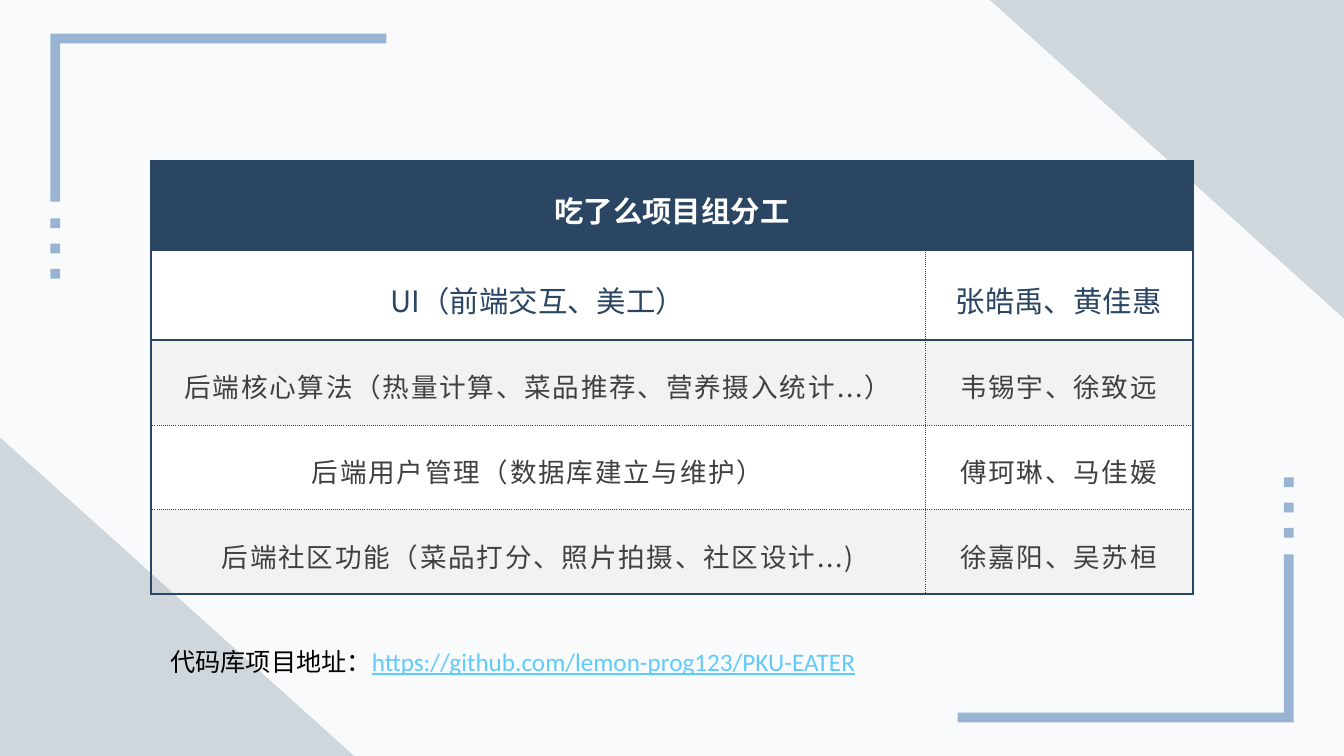
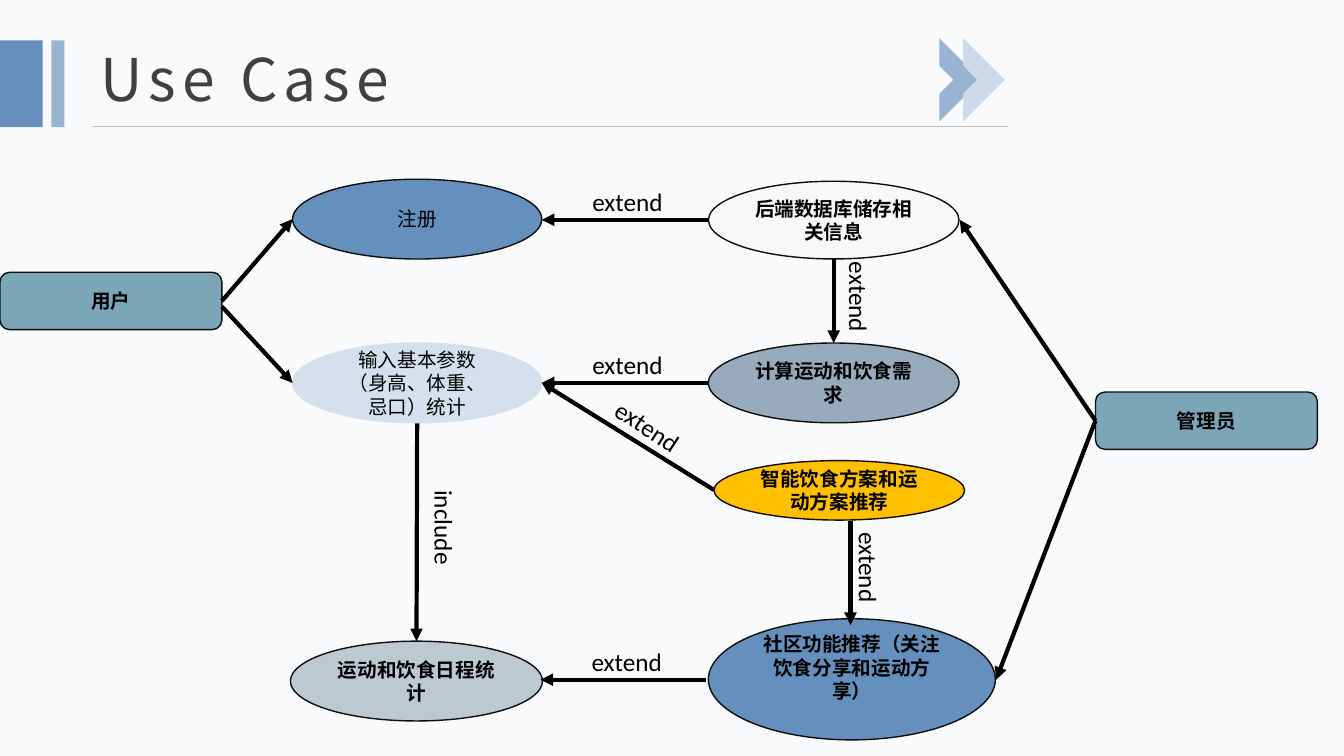
"""Build the team roles slide and the use case slide."""
from lxml import etree
from pptx import Presentation
from pptx.dml.color import RGBColor
from pptx.enum import dml, shapes, text
from pptx.oxml import ns
from pptx.util import Pt

WIDE, HIGH = 960, 540
PAPER = RGBColor(0xF9, 0xFA, 0xFB)
NAVY = RGBColor(0x2B, 0x46, 0x63)
BLUE = RGBColor(0x65, 0x8F, 0xBC)
SOFT = RGBColor(0x98, 0xB4, 0xD2)
PALE = RGBColor(0xCC, 0xDA, 0xE9)
MIST = RGBColor(0xD5, 0xDF, 0xED)
TEAL = RGBColor(0x7A, 0xA6, 0xB8)
STEEL = RGBColor(0x97, 0xAB, 0xBD)
ASH = RGBColor(0xBC, 0xCA, 0xD0)
SNOW = RGBColor(0xF6, 0xF8, 0xFA)
GOLD = RGBColor(0xFF, 0xC0, 0x00)
SKY = RGBColor(0x5F, 0xCB, 0xFB)
WHITE = RGBColor(0xFF, 0xFF, 0xFF)
LIGHT = RGBColor(0xF2, 0xF2, 0xF2)
GREY = RGBColor(0xBF, 0xBF, 0xBF)
DARK = RGBColor(0x40, 0x40, 0x40)
INK = RGBColor(0x0D, 0x0D, 0x0D)
BLACK = RGBColor(0, 0, 0)
LATIN, HAN = "Calibri", "Noto Sans CJK SC"
KIND = shapes.MSO_SHAPE
MID = text.MSO_ANCHOR.MIDDLE
CENTER = text.PP_ALIGN.CENTER

ROLES = [
    ("吃了么项目组分工", ""),
    ("UI（前端交互、美工）", "张皓禹、黄佳惠"),
    ("后端核心算法（热量计算、菜品推荐、营养摄入统计...）", "韦锡宇、徐致远"),
    ("后端用户管理（数据库建立与维护）", "傅珂琳、马佳媛"),
    ("后端社区功能（菜品打分、照片拍摄、社区设计...)", "徐嘉阳、吴苏桓"),
]
ACTORS = [
    ("用户", (0, 194.5, 158.5, 41)),
    ("管理员", (782.5, 280, 158.5, 41)),
]
CASES = [
    ("智能饮食方案和运动方案推荐", (510, 329, 179, 42.5), GOLD),
    ("计算运动和饮食需求", (506, 245, 179, 57), STEEL),
    ("后端数据库储存相关信息", (506, 129.5, 179, 55.5), SNOW),
    ("运动和饮食日程统计", (207.5, 458, 180, 57), ASH),
]
ARROWS = [
    (158.5, 215, 209, 156.5),
    (158.5, 219, 209, 273.5),
    (506, 273.5, 387, 273.5),
    (506, 157, 387, 157),
    (595.5, 185, 595.5, 245),
    (782.5, 300.5, 685.5, 157),
    (510, 350, 387, 273.5),
    (298, 302.5, 297.5, 458),
    (504.5, 485.5, 386, 485.5),
    (607.5, 372, 607.5, 446.5),
    (782.5, 300.5, 711.5, 485.5),
]
LABELS = [
    ("extend", (416, 246, 105, 29), 0),
    ("extend", (416, 129.5, 105, 29), 0),
    ("extend", (561, 218, 105, 29), 90),
    ("extend", (427, 301, 105, 29), 33.1),
    ("include", (279.5, 366.5, 76, 29), 90),
    ("extend", (415.5, 458, 105, 29), 0),
    ("extend", (568, 411, 105, 29), 90),
]


def points(vals):
    return [Pt(v) for v in vals]


def style(run, size, color, face=LATIN, bold=False, gap=0):
    font = run.font
    font.size, font.bold, font.name = Pt(size), bold, face
    font.color.rgb = color
    props = run._r.get_or_add_rPr()
    if gap:
        props.set("spc", str(round(gap * 100)))
    east = etree.Element(ns.qn("a:ea"), typeface=HAN)
    props.find(ns.qn("a:latin")).addnext(east)


def paint(shape, fill, line=None):
    shape.shadow.inherit = False
    shape.fill.solid()
    shape.fill.fore_color.rgb = fill
    if line is None:
        shape.line.fill.background()
    else:
        shape.line.color.rgb = line
        shape.line.width = Pt(1)


def block(slide, kind, box, fill, line=None, turn=0):
    shape = slide.shapes.add_shape(kind, *points(box))
    paint(shape, fill, line)
    shape.rotation = turn
    return shape


def node(slide, kind, words, box, fill, line=INK, bold=True):
    shape = block(slide, kind, box, fill, line)
    frame = shape.text_frame
    frame.text = words
    frame.word_wrap, frame.vertical_anchor = True, MID
    para = frame.paragraphs[0]
    para.alignment = CENTER
    style(para.runs[0], 14, BLACK, bold=bold)
    return shape


def label(slide, words, box, turn=0):
    shape = slide.shapes.add_textbox(*points(box))
    shape.rotation = turn
    frame = shape.text_frame
    frame.word_wrap = True
    frame.text = words
    style(frame.paragraphs[0].runs[0], 18, BLACK)
    return frame


def wire(slide, ends, color, width, head=False):
    line = slide.shapes.add_connector(shapes.MSO_CONNECTOR.STRAIGHT, *points(ends))
    line.line.color.rgb = color
    line.line.width = Pt(width)
    if head:
        edge = line.line._get_or_add_ln()
        etree.SubElement(edge, ns.qn("a:tailEnd"), type="triangle")
    etree.SubElement(line._element.spPr, ns.qn("a:effectLst"))


def corner(slide, flip):
    def spot(x, y):
        return points((WIDE - x, HIGH - y) if flip else (x, y))

    path = [(43, 144), (36, 144), (36, 24), (276, 24), (276, 31), (43, 31)]
    build = slide.shapes.build_freeform(*spot(*path[0]))
    build.add_line_segments([spot(*dot) for dot in path[1:]])
    paint(build.convert_to_shape(), SOFT)
    for step in range(3):
        left, top = 36, 156 + 18 * step
        if flip:
            left, top = WIDE - left - 7, HIGH - top - 7
        block(slide, KIND.RECTANGLE, (left, top, 7, 7), SOFT)


def wedge(slide, left, top, turn):
    shape = block(slide, KIND.RIGHT_TRIANGLE, (left, top, 253, 227.5), NAVY, turn=turn)
    tint = shape._element.spPr.find(".//" + ns.qn("a:srgbClr"))
    etree.SubElement(tint, ns.qn("a:alpha"), val="20000")


def border(cell, sides):
    props = cell._tc.get_or_add_tcPr()
    for spot, (side, solid) in enumerate(sides):
        width = Pt(1.5 if solid else 0.25)
        edge = etree.Element(ns.qn("a:ln" + side), w=str(int(width)))
        fill = etree.SubElement(edge, ns.qn("a:solidFill"))
        etree.SubElement(fill, ns.qn("a:srgbClr"), val=str(NAVY))
        dash = "solid" if solid else "sysDot"
        etree.SubElement(edge, ns.qn("a:prstDash"), val=dash)
        props.insert(spot, edge)


def fill_cell(cell, words, row, col):
    cell.margin_left = cell.margin_right = Pt(17)
    cell.margin_top = cell.margin_bottom = Pt(11)
    cell.vertical_anchor = MID
    cell.fill.solid()
    cell.fill.fore_color.rgb = NAVY if row == 0 else WHITE if row % 2 else LIGHT
    border(cell, [("L", col == 0 or row == 0), ("R", col == 1 or row == 0),
                  ("T", row < 3), ("B", row in (0, 1, 4))])
    if not words:
        return
    cell.text_frame.text = words
    para = cell.text_frame.paragraphs[0]
    para.alignment, para.line_spacing = CENTER, 1.2
    run = para.runs[0]
    if row < 2:
        style(run, 21, NAVY if row else WHITE, HAN, row == 0)
    else:
        style(run, 19, DARK, HAN, gap=1.3)


def roles(slide):
    shape = slide.shapes.add_table(len(ROLES), 2, *points((108, 115, 744, 309.5)))
    table = shape.table
    table.first_row = table.horz_banding = False
    for col, width in enumerate((552.5, 191.5)):
        table.columns[col].width = Pt(width)
    for row, pair in enumerate(ROLES):
        table.rows[row].height = Pt(64 if row < 2 else 60.5)
        for col, words in enumerate(pair):
            fill_cell(table.cell(row, col), words, row, col)
    table.cell(0, 0).merge(table.cell(0, 1))


def title(slide, words):
    block(slide, KIND.RECTANGLE, (0, 28.8, 30.5, 62), BLUE)
    block(slide, KIND.RECTANGLE, (36.7, 28.8, 9.4, 62), SOFT)
    for left, fill in ((650, SOFT), (667, PALE)):
        block(slide, KIND.HALF_FRAME, (left, 36, 42, 42), fill, turn=135)
    wire(slide, (66, 90.5, 720, 90.5), GREY, 0.5)
    frame = slide.shapes.add_textbox(*points((66, 27, 230, 57))).text_frame
    frame.margin_left = frame.margin_right = Pt(6)
    frame.margin_top = frame.margin_bottom = Pt(3)
    frame.word_wrap, frame.vertical_anchor = False, MID
    frame.text = words
    style(frame.paragraphs[0].runs[0], 42, DARK, HAN, gap=4.3)


def fresh(deck):
    slide = deck.slides.add_slide(deck.slide_layouts[6])
    slide.background.fill.solid()
    slide.background.fill.fore_color.rgb = PAPER
    return slide


def team(deck):
    slide = fresh(deck)
    corner(slide, False)
    corner(slide, True)
    roles(slide)
    wedge(slide, WIDE - 253, 0, 180)
    wedge(slide, 0, HIGH - 227.5, 0)
    frame = label(slide, "代码库项目地址：", (114.5, 458, 547, 29))
    link = frame.paragraphs[0].add_run()
    link.text = "https://github.com/lemon-prog123/PKU-EATER"
    style(link, 18, SKY)
    link.font.underline = True


def cases(deck):
    slide = fresh(deck)
    for words, box in ACTORS:
        node(slide, KIND.ROUNDED_RECTANGLE, words, box, TEAL)
    for words, box, fill in CASES:
        node(slide, KIND.OVAL, words, box, fill)
    node(slide, KIND.OVAL, "注册", (209, 128, 178, 57), BLUE, bold=False)
    node(slide, KIND.OVAL, "输入基本参数（身高、体重、忌口）统计",
         (209, 245, 178, 57), MIST, MIST, False)
    share = node(slide, KIND.OVAL, "社区功能推荐（关注饮食分享和运动方享）",
                 (506, 442, 205, 86.5), BLUE)
    share.text_frame.margin_bottom = Pt(20.5)
    for ends in ARROWS:
        wire(slide, ends, BLACK, 3, True)
    for words, box, turn in LABELS:
        label(slide, words, box, turn)
    title(slide, "Use Case")


def main():
    deck = Presentation()
    deck.slide_width, deck.slide_height = Pt(WIDE), Pt(HIGH)
    team(deck)
    cases(deck)
    deck.save("out.pptx")


if __name__ == "__main__":
    main()
